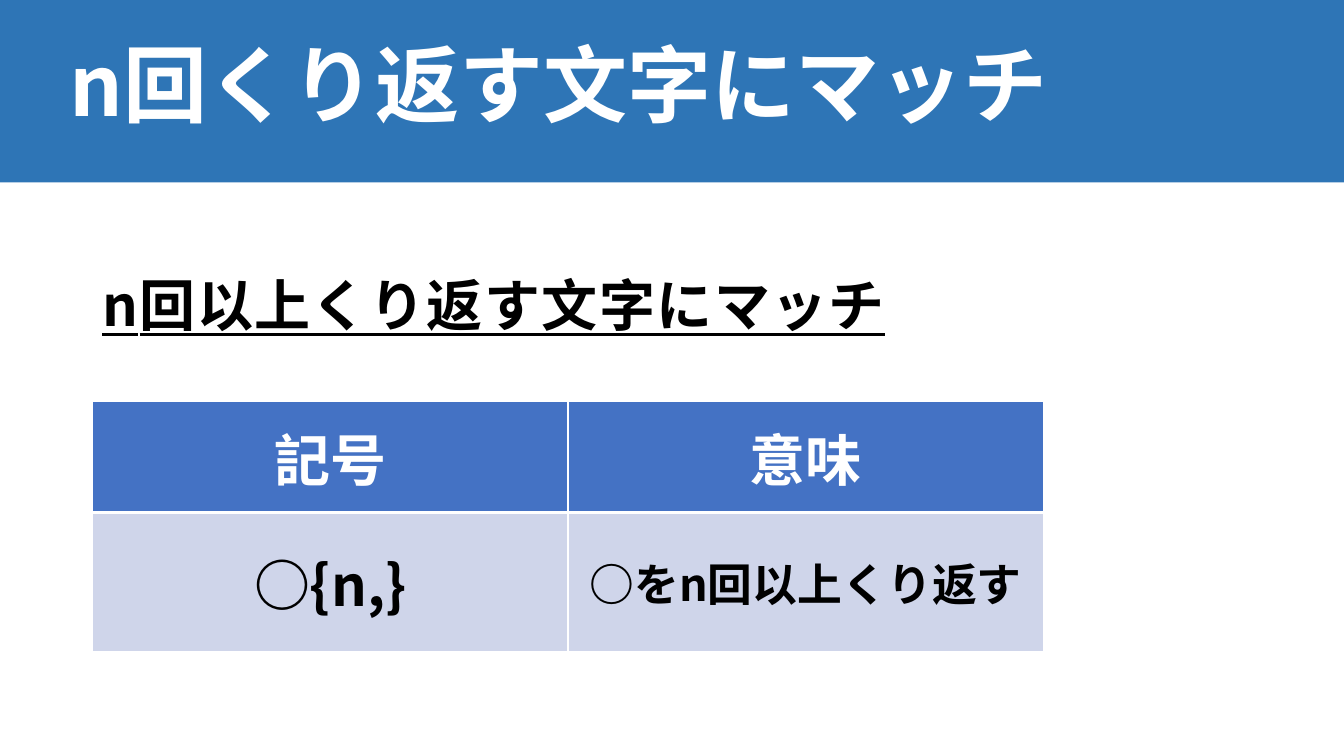
import pptx
import pptx.util
import pptx.dml.color
import pptx.enum.shapes
import pptx.enum.text
import lxml.etree
import pptx.oxml.ns

Pt = pptx.util.Pt
RGBColor = pptx.dml.color.RGBColor
ALIGN = pptx.enum.text.PP_ALIGN
ANCHOR = pptx.enum.text.MSO_ANCHOR

WHITE = RGBColor(0xFF, 0xFF, 0xFF)
BLACK = RGBColor(0x00, 0x00, 0x00)
BAND_BLUE = RGBColor(0x2E, 0x75, 0xB6)
HEADER_BLUE = RGBColor(0x44, 0x72, 0xC4)
ROW_BLUE = RGBColor(0xCF, 0xD5, 0xEA)
FONT = "Noto Sans CJK JP"


def write_text(text_frame, text, size, color, paragraph_format, underline=None):
    paragraph = text_frame.paragraphs[0]
    for name, value in paragraph_format.items():
        setattr(paragraph, name, value)
    run = paragraph.add_run()
    run.text = text
    font_format = {"name": FONT, "size": Pt(size), "bold": True, "underline": underline}
    for name, value in font_format.items():
        setattr(run.font, name, value)
    run.font.color.rgb = color
    properties = run.font._element
    east_asian = lxml.etree.Element(pptx.oxml.ns.qn("a:ea"), typeface=FONT)
    properties.find(pptx.oxml.ns.qn("a:latin")).addnext(east_asian)
    return properties


def add_border(cell, side, width):
    border = lxml.etree.Element(pptx.oxml.ns.qn(side), w=str(Pt(width)))
    fill = lxml.etree.SubElement(border, pptx.oxml.ns.qn("a:solidFill"))
    lxml.etree.SubElement(fill, pptx.oxml.ns.qn("a:srgbClr"), val=str(WHITE))
    cell._tc.get_or_add_tcPr().insert(0, border)


presentation = pptx.Presentation()
presentation.slide_width = Pt(960)
presentation.slide_height = Pt(540)
slide = presentation.slides.add_slide(presentation.slide_layouts[5])

title = slide.shapes.title
band = slide.shapes.add_shape(
    pptx.enum.shapes.MSO_SHAPE.RECTANGLE, Pt(0), Pt(0), Pt(960), Pt(130.3)
)
band.shadow.inherit = False
band.fill.solid()
band.fill.fore_color.rgb = BAND_BLUE
band.line.fill.background()
title.element.addprevious(band.element)

title_format = {"left": Pt(42.5), "top": Pt(11.5), "width": Pt(828), "height": Pt(104.4)}
for name, value in title_format.items():
    setattr(title, name, value)
title_frame = title.text_frame
frame_format = {
    "vertical_anchor": ANCHOR.MIDDLE,
    "word_wrap": True,
    "auto_size": pptx.enum.text.MSO_AUTO_SIZE.NONE,
}
for name, value in frame_format.items():
    setattr(title_frame, name, value)
write_text(
    title_frame, "n回くり返す文字にマッチ", 60, WHITE,
    {"alignment": ALIGN.LEFT, "line_spacing": 0.9},
)

subtitle = slide.shapes.add_textbox(Pt(66), Pt(165.6), Pt(828), Pt(342.7))
subtitle.text_frame.word_wrap = True
subtitle_properties = write_text(
    subtitle.text_frame, "n回以上くり返す文字にマッチ", 40, BLACK,
    {"line_spacing": 1.5, "space_before": Pt(10)}, underline=True,
)
subtitle_properties.set("spc", "110")

rows = [
    (79.2, HEADER_BLUE, WHITE, "a:lnB", [("記号", 40), ("意味", 40)]),
    (99.4, ROW_BLUE, BLACK, "a:lnT", [("○{n,}", 40), ("○をn回以上くり返す", 32)]),
]
table_height = sum(row[0] for row in rows)
table = slide.shapes.add_table(
    2, 2, Pt(66), Pt(286.8), Pt(679.4), Pt(table_height)
).table
for row_index, (height, fill_color, text_color, side, entries) in enumerate(rows):
    table.rows[row_index].height = Pt(height)
    for column_index, (text, size) in enumerate(entries):
        cell = table.cell(row_index, column_index)
        cell.fill.solid()
        cell.fill.fore_color.rgb = fill_color
        cell.vertical_anchor = ANCHOR.MIDDLE
        add_border(cell, side, 3)
        write_text(cell.text_frame, text, size, text_color, {"alignment": ALIGN.CENTER})

presentation.save("out.pptx")
